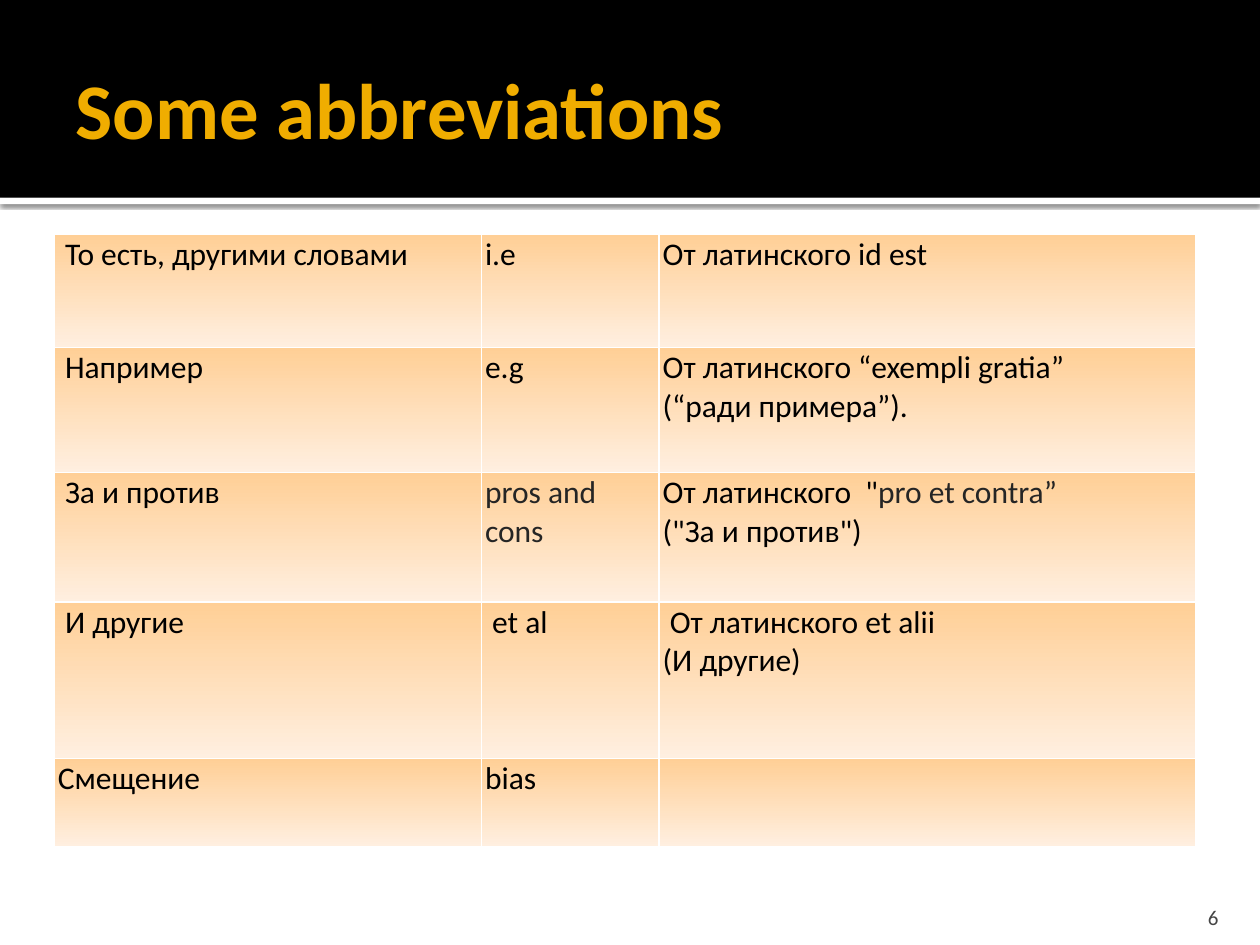
from lxml import etree
from pptx import Presentation
from pptx.dml.color import RGBColor
from pptx.enum.shapes import MSO_SHAPE
from pptx.enum.text import MSO_ANCHOR, PP_ALIGN
from pptx.oxml import parse_xml
from pptx.util import Inches, Pt

RECT = MSO_SHAPE.RECTANGLE
MIDDLE, BOTTOM = MSO_ANCHOR.MIDDLE, MSO_ANCHOR.BOTTOM
LEFT, RIGHT = PP_ALIGN.LEFT, PP_ALIGN.RIGHT

BLACK = RGBColor(0, 0, 0)
WHITE = RGBColor(255, 255, 255)
GOLD = RGBColor(0xF0, 0xAD, 0x00)
DARK = RGBColor(0x25, 0x25, 0x25)
GREY = RGBColor(0x45, 0x45, 0x45)
ORANGE = RGBColor(0xFF, 0xCF, 0x96)
CREAM = RGBColor(0xFF, 0xEF, 0xE0)

FONT = "Calibri"
BAND_H = 1.57
COLS = [3.39, 1.41, 4.26]
ROWS = [0.9, 0.99, 1.03, 1.24, 0.7]

# A cell is a list of paragraphs, a paragraph a list of (text, colour) runs
CELLS = [
    [[[(" То есть, другими словами", BLACK)]],
     [[("i.e", BLACK)]],
     [[("От латинского id est", BLACK)]]],
    [[[(" Например", BLACK)]],
     [[("e.g", BLACK)]],
     [[("От латинского “exempli gratia”", BLACK)],
      [("(“ради примера”).", BLACK)]]],
    [[[(" За и против", BLACK)]],
     [[("pros and cons", DARK)]],
     [[('От латинского  "', BLACK), ("pro et contra”", DARK)],
      [('("За и против")', BLACK)]]],
    [[[(" И другие", BLACK)]],
     [[(" et al", BLACK)]],
     [[(" От латинского et alii", BLACK)],
      [("(И другие)", BLACK)]]],
    [[[("Смещение", BLACK)]],
     [[("bias", BLACK)]],
     []],
]

SHADOW = (
    '<a:effectLst xmlns:a="http://schemas.openxmlformats.org/drawingml/2006/main">'
    '<a:outerShdw blurRad="31750" dist="10160" dir="5400000" rotWithShape="0">'
    '<a:srgbClr val="000000"><a:alpha val="60000"/></a:srgbClr>'
    '</a:outerShdw></a:effectLst>'
)


def set_font(font, size, color, bold=False):
    font.name, font.size, font.bold = FONT, Pt(size), bold
    font.color.rgb = color


def set_insets(box, left, top, right, bottom):
    box.margin_left, box.margin_top = Inches(left), Inches(top)
    box.margin_right, box.margin_bottom = Inches(right), Inches(bottom)


def add_bar(s, width, top, height, color):
    bar = s.shapes.add_shape(RECT, 0, Inches(top), width, Inches(height))
    bar.shadow.inherit = False
    bar.fill.solid()
    bar.fill.fore_color.rgb = color
    bar.line.fill.background()
    return bar


def add_shadow(shape):
    sp_pr = shape._element.spPr
    etree.strip_elements(sp_pr, "{*}effectLst")
    sp_pr.append(parse_xml(SHADOW))


def set_title(s, text):
    title = s.shapes.title
    title.left, title.top = Inches(0.5), Inches(0.17)
    title.width, title.height = Inches(9), Inches(1.37)
    tf = title.text_frame
    tf.text, tf.vertical_anchor = text, MIDDLE
    set_insets(tf, 0.1, 0.05, 0.05, 0.05)
    p = tf.paragraphs[0]
    p.alignment = LEFT
    set_font(p.font, 45, GOLD, bold=True)
    # Bring the title in front of the header band
    s.shapes._spTree.append(title._element)


def fill_cell(cell, paragraphs):
    set_insets(cell, 0.03, 0.01, 0.03, 0.01)
    cell.fill.gradient()
    cell.fill.gradient_angle = 270
    for stop, color in zip(cell.fill.gradient_stops, (ORANGE, CREAM)):
        stop.color.rgb = color
    tf = cell.text_frame
    for i, runs in enumerate(paragraphs):
        p = tf.add_paragraph() if i else tf.paragraphs[0]
        for text, color in runs:
            r = p.add_run()
            r.text = text
            set_font(r.font, 18, color)


def add_abbreviations(s):
    frame = s.shapes.add_table(len(ROWS), len(COLS), Inches(0.43), Inches(1.86),
                               Inches(sum(COLS)), Inches(sum(ROWS)))
    table = frame.table
    table.first_row = table.horz_banding = False
    for col, width in zip(table.columns, COLS):
        col.width = Inches(width)
    for row, height, contents in zip(table.rows, ROWS, CELLS):
        row.height = Inches(height)
        for cell, paragraphs in zip(row.cells, contents):
            fill_cell(cell, paragraphs)


def add_page_number(s, number):
    box = s.shapes.add_textbox(Inches(8.97), Inches(7.08), Inches(0.8), Inches(0.3))
    tf = box.text_frame
    tf.word_wrap, tf.vertical_anchor = True, BOTTOM
    set_insets(tf, 0.1, 0.05, 0.1, 0)
    p = tf.paragraphs[0]
    p.text, p.alignment = str(number), RIGHT
    set_font(p.font, 12, GREY)


def main():
    prs = Presentation()
    prs.slide_width, prs.slide_height = Inches(10), Inches(7.5)
    s = prs.slides.add_slide(prs.slide_layouts[5])

    # Header: white rule with a shadow, black band, title
    add_shadow(add_bar(s, prs.slide_width, BAND_H, 0.05, WHITE))
    add_bar(s, prs.slide_width, 0, BAND_H, BLACK)
    set_title(s, "Some abbreviations")

    # Content and footer
    add_abbreviations(s)
    add_page_number(s, 6)
    prs.save("out.pptx")


if __name__ == "__main__":
    main()
